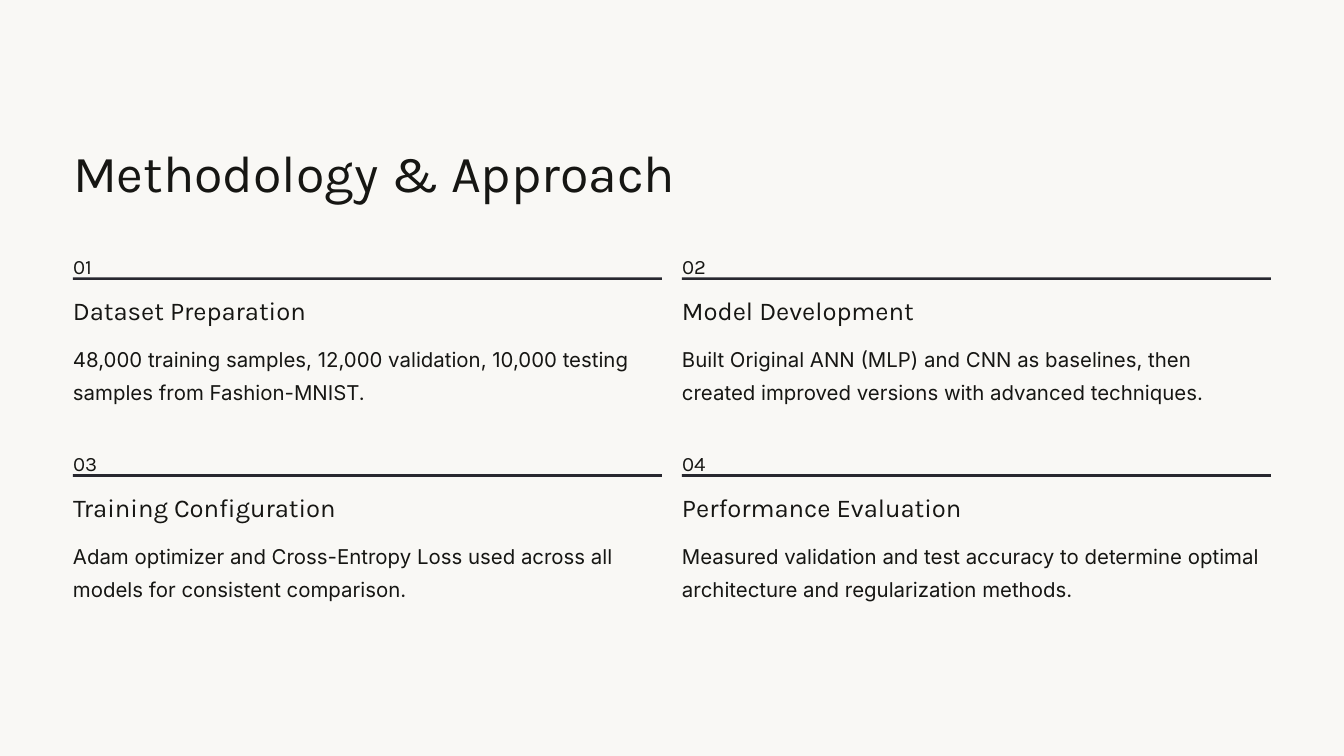
"""Build the Methodology & Approach slide with four numbered steps."""
from pptx import Presentation
from pptx.dml.color import RGBColor
from pptx.enum.shapes import MSO_SHAPE
from pptx.enum.text import MSO_ANCHOR, MSO_AUTO_SIZE, PP_ALIGN
from pptx.util import Pt

COLORS = {"background": "F9F8F5", "text": "161613", "rule": "28282F"}
LEFT, TOP = 62.6, 210.2
COLUMN_WIDTH, COLUMN_STEP, ROW_STEP = 504.8, 522, 168.8
STEPS = [
    ("Dataset Preparation", 223.2,
     "48,000 training samples, 12,000 validation, 10,000 testing samples from Fashion-MNIST."),
    ("Model Development", 223.2,
     "Built Original ANN (MLP) and CNN as baselines, then created improved versions "
     "with advanced techniques."),
    ("Training Configuration", 231.8,
     "Adam optimizer and Cross-Entropy Loss used across all models for consistent comparison."),
    ("Performance Evaluation", 249.1,
     "Measured validation and test accuracy to determine optimal architecture and "
     "regularization methods."),
]


def rgb(name):
    return RGBColor.from_string(COLORS[name])


def place(sp, x, y, w, h):
    sp.left, sp.top, sp.width, sp.height = Pt(x), Pt(y), Pt(w), Pt(h)


def set_text(sp, text, font, size, spacing, wrap=False):
    tf = sp.text_frame
    tf.margin_left = tf.margin_top = tf.margin_right = tf.margin_bottom = 0
    tf.word_wrap = wrap
    tf.auto_size = MSO_AUTO_SIZE.NONE
    tf.vertical_anchor = MSO_ANCHOR.TOP
    p = tf.paragraphs[0]
    p.alignment = PP_ALIGN.LEFT
    p.line_spacing = Pt(spacing)
    r = p.add_run()
    r.text = text
    r.font.name = font
    r.font.size = Pt(size)
    r.font.color.rgb = rgb("text")


def add_text(s, x, y, w, h, text, font, size, spacing, wrap=False):
    sp = s.shapes.add_textbox(Pt(x), Pt(y), Pt(w), Pt(h))
    set_text(sp, text, font, size, spacing, wrap)


def add_rule(s, x, y, w):
    sp = s.shapes.add_shape(MSO_SHAPE.RECTANGLE, Pt(x), Pt(y), Pt(w), Pt(2.3))
    sp.shadow.inherit = False
    sp.fill.solid()
    sp.fill.fore_color.rgb = rgb("rule")
    sp.line.fill.background()


def add_step(s, x, y, number, heading, heading_width, body):
    add_text(s, x, y, 18, 22.3, f"{number:02d}", "Karla", 17.5, 28.5)
    add_rule(s, x, y + 27.5, COLUMN_WIDTH)
    add_text(s, x, y + 41.7, heading_width, 28, heading, "Karla", 22, 27.5)
    add_text(s, x, y + 79.9, COLUMN_WIDTH, 57, body, "Inter", 17.5, 28.5, wrap=True)


def main():
    prs = Presentation()
    prs.slide_width, prs.slide_height = Pt(1152), Pt(648)
    s = prs.slides.add_slide(prs.slide_layouts[5])
    s.background.fill.solid()
    s.background.fill.fore_color.rgb = rgb("background")
    title = s.shapes.title
    place(title, LEFT, 118.8, 540, 56.2)
    set_text(title, "Methodology & Approach", "Karla", 44.5, 55.5)
    for i, (heading, heading_width, body) in enumerate(STEPS):
        row, column = divmod(i, 2)
        add_step(s, LEFT + column * COLUMN_STEP, TOP + row * ROW_STEP,
                 i + 1, heading, heading_width, body)
    prs.save("out.pptx")


if __name__ == "__main__":
    main()
